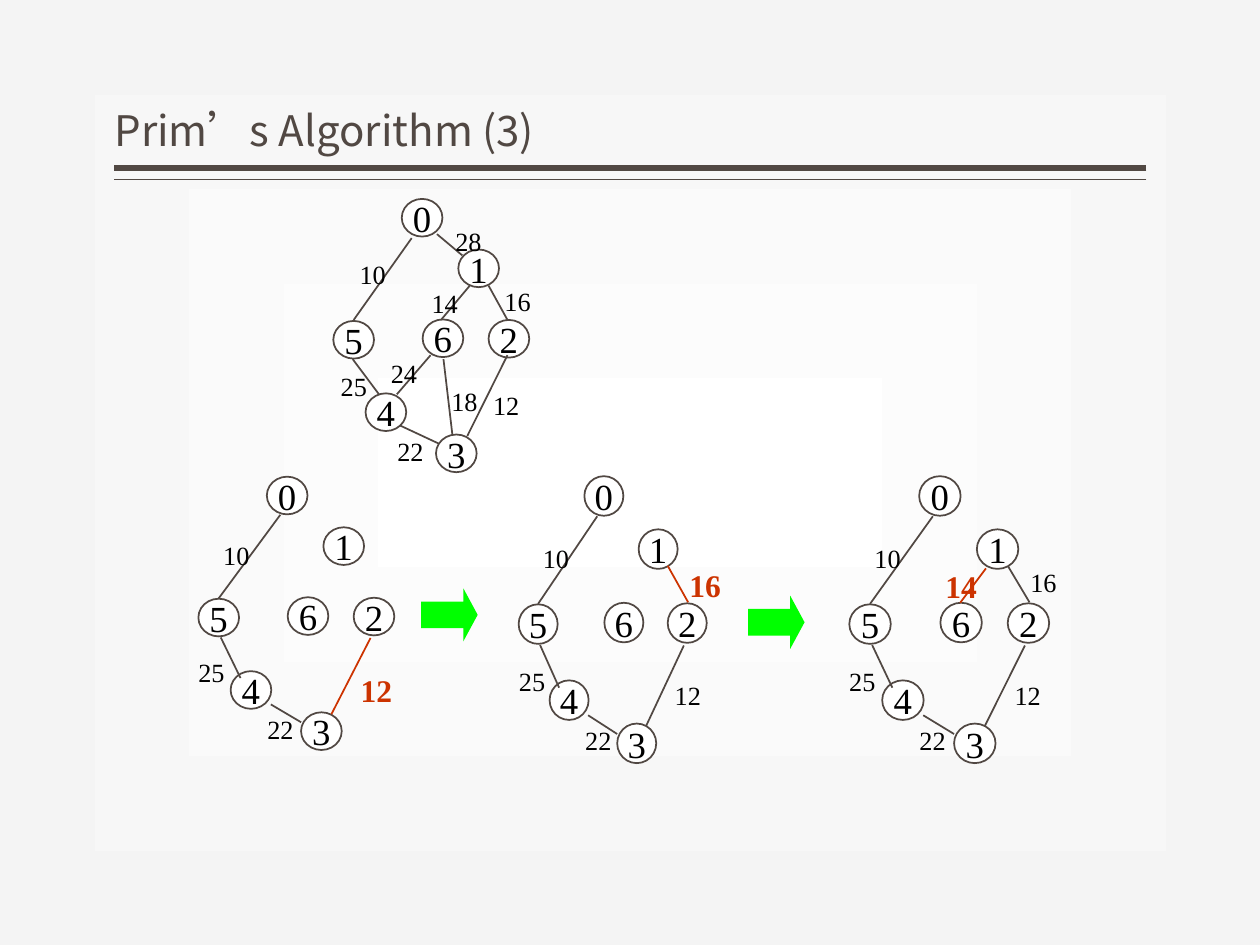
from typing import NamedTuple

from lxml import etree
from pptx import Presentation
from pptx.dml.color import RGBColor
from pptx.enum.shapes import MSO_CONNECTOR, MSO_SHAPE
from pptx.enum.text import MSO_ANCHOR, MSO_AUTO_SIZE, PP_ALIGN
from pptx.oxml import parse_xml
from pptx.oxml.ns import nsdecls, qn
from pptx.util import Cm, Pt

STRAIGHT = MSO_CONNECTOR.STRAIGHT
ELLIPSE, RIGHT_ARROW = MSO_SHAPE.OVAL, MSO_SHAPE.RIGHT_ARROW
TOP, MIDDLE, BOTTOM = MSO_ANCHOR.TOP, MSO_ANCHOR.MIDDLE, MSO_ANCHOR.BOTTOM
LEFT, CENTER = PP_ALIGN.LEFT, PP_ALIGN.CENTER
GROW = MSO_AUTO_SIZE.SHAPE_TO_FIT_TEXT

BROWN, BLACK, WHITE, RED, GREEN = "514843", "000000", "FFFFFF", "CC3300", "00FF00"
SERIF, SANS = "Times New Roman", "Noto Sans CJK SC"
Point = tuple[float, float]


class Edge(NamedTuple):
    """A weighted edge; points are in cm from the corner of vertex 0."""
    weight: str
    start: Point
    end: Point
    label: Point


class Graph(NamedTuple):
    origin: Point
    scale: Point
    edges: list[Edge]
    newest: str = ""  # weight of the edge added in this step


# Vertices 0 to 6, in cm from the corner of vertex 0
VERTICES: list[Point] = [(0, 0), (1.14, 1.02), (1.75, 2.44), (0.69, 4.75),
                         (-0.73, 3.92), (-1.38, 2.46), (0.42, 2.43)]
VERTEX_SIZE: Point = (0.82, 0.76)

ALL_EDGES = [
    Edge("10", (0.2, 0.79), (-0.97, 2.44), (-1.04, 1.09)),
    Edge("28", (0.71, 0.71), (1.22, 1.14), (0.89, 0.43)),
    Edge("16", (1.75, 1.75), (2.13, 2.44), (1.88, 1.65)),
    Edge("14", (1.37, 1.75), (0.79, 2.44), (0.41, 1.68)),
    Edge("12", (2.13, 3.15), (1.32, 4.78), (1.65, 3.73)),
    Edge("18", (0.84, 3.23), (1.02, 4.75), (0.81, 3.66)),
    Edge("24", (0.58, 3.15), (-0.1, 3.94), (-0.41, 3.1)),
    Edge("25", (-0.99, 3.23), (-0.46, 3.94), (-1.42, 3.35)),
    Edge("22", (-0.03, 4.57), (0.74, 4.93), (-0.28, 4.67)),
]
# Tree edges in the order in which the algorithm picks them
TREE_EDGES = [
    Edge("10", (0.27, 0.77), (-0.97, 2.45), (-1.07, 1.17)),
    Edge("25", (-0.93, 3.24), (-0.53, 4.06), (-1.57, 3.53)),
    Edge("22", (0.08, 4.59), (0.69, 4.95), (-0.18, 4.67)),
    Edge("12", (2.09, 3.25), (1.3, 4.79), (1.7, 3.81)),
    Edge("16", (2.18, 2.42), (1.75, 1.72), (2.01, 1.63)),
    Edge("14", (1.32, 1.77), (0.81, 2.43), (0.33, 1.65)),
]
GRAPHS = [
    Graph((5.38, 9.61), (1, 1), TREE_EDGES[:4], "12"),
    Graph((11.78, 9.6), (0.96, 1.05), TREE_EDGES[:5], "16"),
    Graph((18.53, 9.6), (1.02, 1.05), TREE_EDGES, "14"),
    Graph((8.1, 4.01), (1, 1), ALL_EDGES),
]
STEP_ARROWS: list[Point] = [(8.49, 11.86), (15.08, 12.01)]


def color(hex_code: str) -> RGBColor:
    return RGBColor.from_string(hex_code)


def write(shape, text: str, *, size: float, font: str = SERIF, ink: str = BLACK,
          bold: bool = False, align=LEFT, anchor=TOP, wrap: bool = False,
          inset: Point = (0.2, 0.1), spacing: float = 1.0) -> None:
    frame = shape.text_frame
    frame.word_wrap = wrap
    frame.vertical_anchor = anchor
    frame.margin_left = frame.margin_right = Cm(inset[0])
    frame.margin_top = frame.margin_bottom = Cm(inset[1])
    paragraph = frame.paragraphs[0]
    paragraph.alignment = align
    paragraph.line_spacing = spacing
    run = paragraph.add_run()
    run.text = text
    run.font.name, run.font.size, run.font.bold = font, Pt(size), bold
    run.font.color.rgb = color(ink)
    east_asian = etree.SubElement(run.font._element, qn("a:ea"))
    east_asian.set("typeface", font)


def draw_line(shapes, start: Point, end: Point, ink: str = BROWN,
              width: float = 1) -> None:
    line = shapes.add_connector(STRAIGHT, *map(Cm, start + end))
    line.line.color.rgb = color(ink)
    line.line.width = Pt(width)
    etree.SubElement(line._element.spPr, qn("a:effectLst"))


def draw_graph(slide, graph: Graph) -> None:
    shapes = slide.shapes.add_group_shape().shapes

    def place(point: Point) -> Point:
        (left, top), (x_scale, y_scale) = graph.origin, graph.scale
        return left + point[0] * x_scale, top + point[1] * y_scale

    width, height = (side * ratio for side, ratio in zip(VERTEX_SIZE, graph.scale))
    for number, offset in enumerate(VERTICES):
        vertex = shapes.add_shape(ELLIPSE, *map(Cm, (*place(offset), width, height)))
        vertex.shadow.inherit = False
        vertex.fill.solid()
        vertex.fill.fore_color.rgb = color(WHITE)
        vertex.line.color.rgb = color(BROWN)
        vertex.line.width = Pt(1)
        write(vertex, str(number), size=21, align=CENTER, anchor=MIDDLE)

    for edge in graph.edges:
        is_new = edge.weight == graph.newest
        draw_line(shapes, place(edge.start), place(edge.end), RED if is_new else BROWN)
        label_size = (1.04, 0.97) if is_new else (0.95, 0.84)
        weight = shapes.add_textbox(*map(Cm, place(edge.label) + label_size))
        write(weight, edge.weight, size=18 if is_new else 15, bold=is_new,
              ink=RED if is_new else BLACK, inset=(0.19, 0.1))
        weight.text_frame.auto_size = GROW


def draw_step_arrow(slide, corner: Point) -> None:
    arrow = slide.shapes.add_shape(RIGHT_ARROW, *map(Cm, (*corner, 1.14, 1.07)))
    arrow.adjustments[0], arrow.adjustments[1] = 0.5, 0.27
    arrow.shadow.inherit = False
    arrow.fill.solid()
    arrow.fill.fore_color.rgb = color(GREEN)
    arrow.line.fill.background()


def paint_background(slide) -> None:
    slide.background.fill.solid()
    properties = slide.background._cSld.bg.bgPr
    solid = properties.find(qn("a:solidFill"))
    properties.replace(solid, parse_xml(
        f'<a:gradFill {nsdecls("a")} rotWithShape="1"><a:gsLst>'
        '<a:gs pos="0"><a:srgbClr val="FFFFFF"/></a:gs>'
        '<a:gs pos="100000"><a:srgbClr val="F4F4F4"/></a:gs></a:gsLst>'
        '<a:path path="rect"><a:fillToRect l="50000" t="50000" r="50000" b="50000"/>'
        '</a:path></a:gradFill>'))


def main() -> None:
    deck = Presentation()
    deck.slide_width, deck.slide_height = Cm(25.4), Cm(19.05)
    slide = deck.slides.add_slide(deck.slide_layouts[6])
    paint_background(slide)

    # Double rule under the title
    for y, width in ((3.38, 3.25), (3.62, 0.75)):
        draw_line(slide.shapes, (23.11, y), (2.3, y), width=width)

    # Tree steps, full graph and the arrows between steps
    for graph in GRAPHS:
        draw_graph(slide, graph)
    for corner in STEP_ARROWS:
        draw_step_arrow(slide, corner)

    # Title
    title = slide.shapes.add_textbox(Cm(2.31), Cm(0.22), Cm(20.8), Cm(3.05))
    write(title, "Prim’s Algorithm (3)", size=24, font=SANS, ink=BROWN, anchor=BOTTOM,
          wrap=True, inset=(0, 0.13), spacing=0.9)

    deck.save("out.pptx")


if __name__ == "__main__":
    main()
